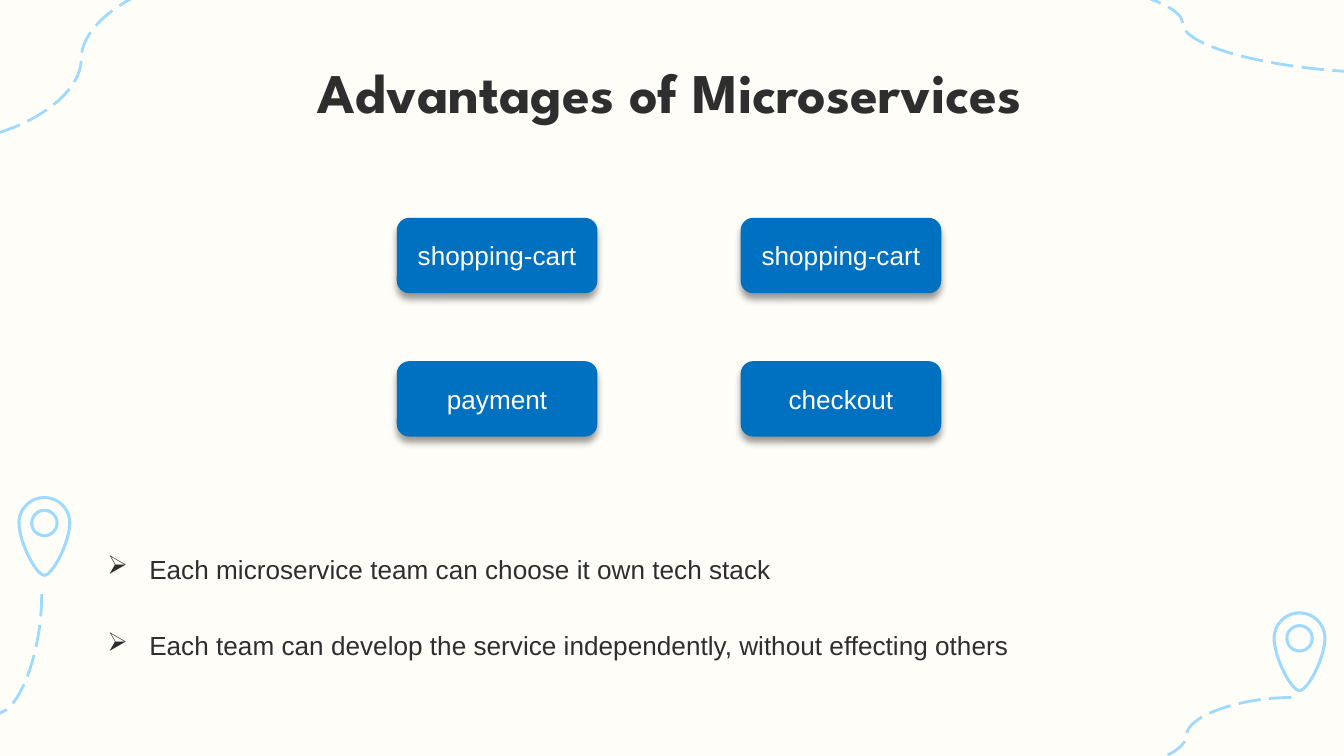
from math import cos, pi, sin

from lxml.etree import SubElement
from pptx import Presentation
from pptx.dml.color import RGBColor
from pptx.enum.dml import MSO_LINE_DASH_STYLE as Dash
from pptx.enum.shapes import MSO_CONNECTOR as Connector, MSO_SHAPE as Shape
from pptx.enum.text import MSO_ANCHOR as Anchor, MSO_AUTO_SIZE as AutoSize, PP_ALIGN as Align
from pptx.oxml.ns import qn
from pptx.util import Pt

CREAM = RGBColor(0xFF, 0xFD, 0xF8)
SKY = RGBColor(0x9F, 0xDA, 0xFE)
BLUE = RGBColor(0x00, 0x70, 0xC0)
INK = RGBColor(0x2E, 0x2E, 0x2E)

TITLE_FONT = {"name": "League Spartan", "size": Pt(30), "bold": True}
BODY_FONT = {"name": "Arial", "size": Pt(14), "bold": False}
INSETS = {f"margin_{side}": Pt(7.2) for side in ("left", "top", "right", "bottom")}

# Dashed trails: start x, start y, end x, end y, rotation in degrees
TRAILS = [
    (-66.2, 357.8, 61.9, 406.8, 90),
    (691.9, 373.7, 579.6, 414, 0),
    (-33.1, 76.3, 120.2, -13, 0),
    (742.3, 38.9, 524.9, -13.7, 0),
]
PIN_CENTRES = [(23.8, 280.2), (696.2, 342)]
SERVICES = [["shopping-cart", "shopping-cart"], ["payment", "checkout"]]
ADVANTAGES = [
    "Each microservice team can choose it own tech stack",
    "Each team can develop the service independently, without effecting others",
]


def set_values(target, values):
    for name, value in values.items():
        setattr(target, name, value)


def write(para, text, font, color):
    span = para.add_run()
    span.text = text
    set_values(span.font, font)
    span.font.color.rgb = color


def add_trail(slide, start_x, start_y, end_x, end_y, rotation):
    trail = slide.shapes.add_connector(
        Connector.CURVE, Pt(start_x), Pt(start_y), Pt(end_x), Pt(end_y))
    trail.line.color.rgb = SKY
    set_values(trail.line, {"width": Pt(1.5), "dash_style": Dash.LONG_DASH})
    properties = trail._element.spPr
    SubElement(properties, qn("a:effectLst"))
    if rotation:
        properties.find(qn("a:xfrm")).set("rot", str(rotation * 60000))


def bezier(start, control_1, control_2, end, steps=24):
    for step in range(1, steps + 1):
        t = step / steps
        weights = ((1 - t) ** 3, 3 * t * (1 - t) ** 2, 3 * t * t * (1 - t), t ** 3)
        corners = (start, control_1, control_2, end)
        yield tuple(sum(w * c[axis] for w, c in zip(weights, corners)) for axis in (0, 1))


def outline_only(shape, width):
    shape.shadow.inherit = False
    shape.fill.background()
    shape.line.color.rgb = SKY
    shape.line.width = Pt(width)


def add_pin(slide, x, y):
    # Round head, then a right flank down to the tip and its mirror image
    radius, tip = 13.6, 28
    head = [(radius * cos(pi + pi * i / 36), radius * sin(pi + pi * i / 36))
            for i in range(37)]
    flank = list(bezier((radius, 0), (radius, 10), (4.5, tip), (0, tip)))
    mirror = [(-dx, dy) for dx, dy in reversed(flank[:-1])]
    points = [(Pt(x + dx), Pt(y + dy)) for dx, dy in head + flank + mirror]
    builder = slide.shapes.build_freeform(*points[0])
    builder.add_line_segments(points[1:], close=True)
    outline_only(builder.convert_to_shape(), 1.65)

    eye = 6.8
    ring = slide.shapes.add_shape(
        Shape.OVAL, Pt(x - eye), Pt(y - eye), Pt(2 * eye), Pt(2 * eye))
    outline_only(ring, 1.65)


def add_title(slide, text):
    title = slide.shapes.title
    set_values(title, {"left": Pt(55.4), "top": Pt(23.8),
                       "width": Pt(607), "height": Pt(45.4)})
    frame = title.text_frame
    set_values(frame, INSETS | {"vertical_anchor": Anchor.TOP, "word_wrap": True,
                                "auto_size": AutoSize.NONE})
    para = frame.paragraphs[0]
    set_values(para, {"alignment": Align.CENTER, "line_spacing": 1.0, "space_before": Pt(0)})
    write(para, text, TITLE_FONT, INK)


def add_service(slide, left, top, name):
    box = slide.shapes.add_shape(
        Shape.ROUNDED_RECTANGLE, Pt(left), Pt(top), Pt(107.5), Pt(40.4))
    box.fill.solid()
    box.fill.fore_color.rgb = BLUE
    box.line.fill.background()
    # Soft shadow below the box
    box.shadow.inherit = False
    effects = box._element.spPr.find(qn("a:effectLst"))
    shadow = SubElement(effects, qn("a:outerShdw"), blurRad=str(Pt(4)), dist=str(Pt(3)),
                        dir="5400000", rotWithShape="0")
    black = SubElement(shadow, qn("a:srgbClr"), val="000000")
    SubElement(black, qn("a:alpha"), val="40000")
    box.text_frame.vertical_anchor = Anchor.MIDDLE
    para = box.text_frame.paragraphs[0]
    para.alignment = Align.CENTER
    write(para, name, BODY_FONT, CREAM)


def add_bullet(slide, top, text):
    box = slide.shapes.add_textbox(Pt(50.4), Pt(top), Pt(580.3), Pt(36.7))
    set_values(box.text_frame, INSETS | {"word_wrap": True})
    para = box.text_frame.paragraphs[0]
    properties = para._p.get_or_add_pPr()
    properties.set("marL", str(Pt(22.5)))
    properties.set("indent", str(-Pt(22.5)))
    bullet_color = SubElement(properties, qn("a:buClr"))
    SubElement(bullet_color, qn("a:srgbClr"), val=str(INK))
    SubElement(properties, qn("a:buChar"), char="➢")
    set_values(para, {"line_spacing": 1.15, "space_after": Pt(12)})
    write(para, text, BODY_FONT, INK)


def main():
    deck = Presentation()
    set_values(deck, {"slide_width": Pt(720), "slide_height": Pt(405)})
    slide = deck.slides.add_slide(deck.slide_layouts[5])
    slide.background.fill.solid()
    slide.background.fill.fore_color.rgb = CREAM

    # Map decoration
    for trail in TRAILS:
        add_trail(slide, *trail)
    for centre in PIN_CENTRES:
        add_pin(slide, *centre)

    add_title(slide, "Advantages of Microservices")

    # Grid of services
    for row, names in enumerate(SERVICES):
        for column, name in enumerate(names):
            add_service(slide, 212.6 + 184.2 * column, 116.7 + 76.8 * row, name)

    # Advantages
    for index, text in enumerate(ADVANTAGES):
        add_bullet(slide, 286.6 + 41 * index, text)

    deck.save("out.pptx")


if __name__ == "__main__":
    main()
